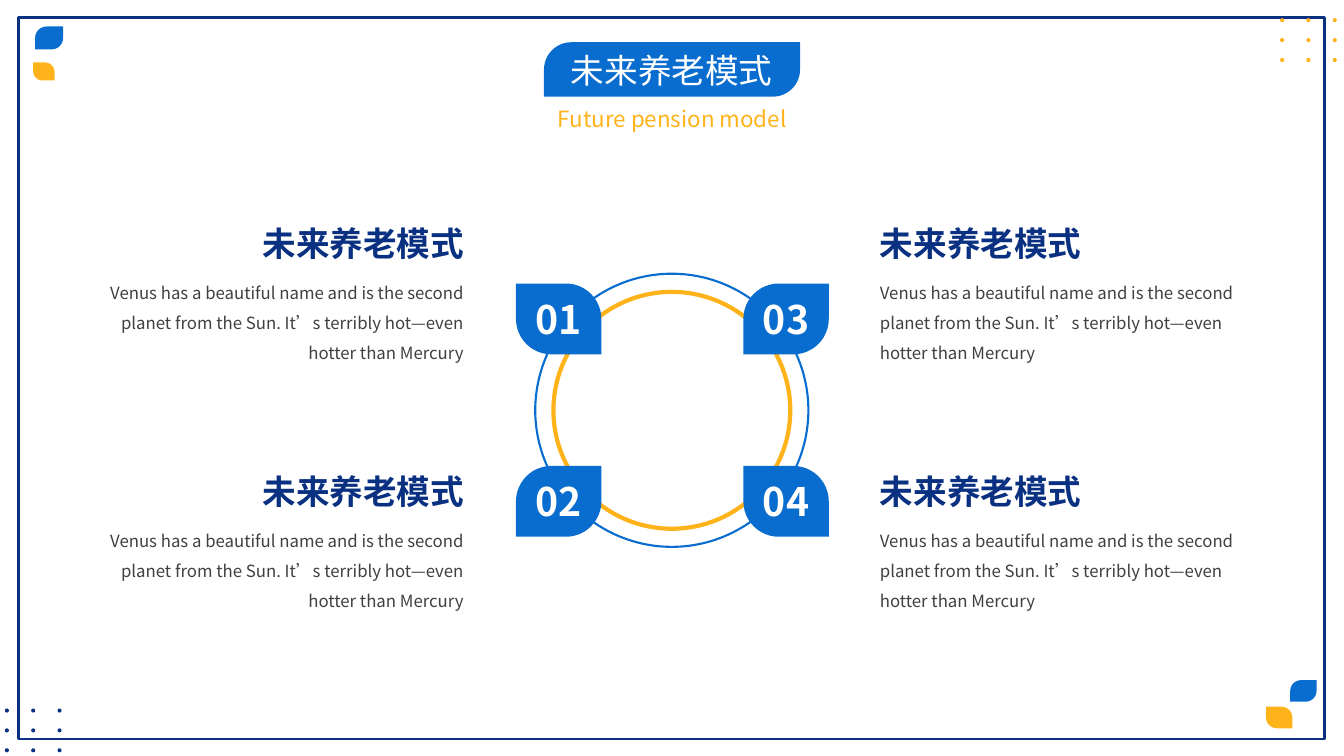
"""Build the slide on the future pension model."""
from lxml.etree import SubElement
from pptx import Presentation
from pptx.dml.color import RGBColor
from pptx.enum.shapes import MSO_SHAPE as Shape
from pptx.enum.text import MSO_ANCHOR as Anchor, MSO_AUTO_SIZE as AutoSize, PP_ALIGN as Align
from pptx.oxml.ns import qn
from pptx.util import Pt

FONT = "Noto Sans CJK SC"
NAVY, BLUE, AMBER, GRAY, WHITE = "0A3181", "086DCE", "FFB31A", "404040", "FFFFFF"
HEADING = "未来养老模式"
DESCRIPTION = ("Venus has a beautiful name and is the second planet from the Sun. "
               "It’s terribly hot—even hotter than Mercury")


def add_figure(kind, box, fill=None, line=None, line_width=0, corners=None):
    shape = slide.shapes.add_shape(kind, *map(Pt, box))
    shape.shadow.inherit = False
    if fill:
        shape.fill.solid()
        shape.fill.fore_color.rgb = RGBColor.from_string(fill)
    else:
        shape.fill.background()
    if line:
        shape.line.color.rgb = RGBColor.from_string(line)
        shape.line.width = Pt(line_width)
    else:
        shape.line.fill.background()
    if corners:
        shape.adjustments[0], shape.adjustments[1] = corners
    return shape


def write(shape, text, size, color, align, bold=False, spacing=None):
    shape.text_frame.word_wrap = True
    paragraph = shape.text_frame.paragraphs[0]
    paragraph.text = text
    paragraph.alignment = align
    if spacing:
        paragraph.line_spacing = spacing
    font = paragraph.font
    font.name, font.size, font.bold = FONT, Pt(size), bold
    font.color.rgb = RGBColor.from_string(color)
    SubElement(paragraph._p.pPr.find(qn("a:defRPr")), qn("a:ea"), typeface=FONT)


presentation = Presentation()
presentation.slide_width, presentation.slide_height = Pt(960), Pt(540)
slide = presentation.slides.add_slide(presentation.slide_layouts[5])
LEAF, MIRRORED = (0.5, 0), (0, 0.5)

add_figure(Shape.RECTANGLE, (13, 12.3, 933.2, 515.6), line=NAVY, line_width=2)

for left, top, color in [(3.5, 508.5, NAVY), (919.8, 13, AMBER)]:
    for row in range(3):
        for column in range(3):
            box = (left + 18.8 * column, top + 14.2 * row, 2.9, 2.9)
            if color == NAVY:
                box = (box[0], box[1] - 2.4, 2.9, 2.9)
            else:
                box = (box[0] - 5.4, box[1], 2.9, 2.9)
            add_figure(Shape.OVAL, box, color)

for box, color, corners in [
    ((25.1, 18.9, 20, 16.4), BLUE, LEAF),
    ((23.6, 44.6, 15.4, 12.9), AMBER, MIRRORED),
    ((921.6, 485.8, 18.8, 15.4), BLUE, LEAF),
    ((904.3, 504.8, 18.8, 15.4), AMBER, MIRRORED),
    ((388.6, 30.2, 182.9, 38.9), BLUE, LEAF),
]:
    add_figure(Shape.ROUND_2_DIAG_RECTANGLE, box, color, corners=corners)

title = slide.shapes.title
title.left, title.top, title.width, title.height = map(Pt, (293, 31.7, 373.7, 36))
title.text_frame.auto_size = AutoSize.NONE
title.text_frame.vertical_anchor = Anchor.MIDDLE
write(title, HEADING, 24, WHITE, Align.CENTER)
title.element.getparent().append(title.element)

subtitle = slide.shapes.add_textbox(*map(Pt, (283.7, 71.3, 393.1, 26.6)))
write(subtitle, "Future pension model", 16, AMBER, Align.CENTER)

add_figure(Shape.OVAL, (382.3, 195.5, 195.1, 195.1), line=BLUE, line_width=1.5)
add_figure(Shape.OVAL, (395.3, 208.5, 169.2, 169.2), line=AMBER, line_width=3)

columns = [(368.6, 138.3, 64.1, Align.RIGHT), (531, 621.4, 621.4, Align.LEFT)]
for column, (tab_left, heading_left, description_left, align) in enumerate(columns):
    for row in range(2):
        tab = add_figure(Shape.ROUND_2_DIAG_RECTANGLE, (tab_left, 202.5 + 130.3 * row, 61, 50.6),
                         BLUE, corners=MIRRORED if row == column else LEAF)
        frame = tab.text_frame
        frame.margin_left = frame.margin_right = frame.margin_top = frame.margin_bottom = 0
        frame.vertical_anchor = Anchor.MIDDLE
        write(tab, f"{2 * column + row + 1:02}", 28, WHITE, Align.CENTER, bold=True)

        top = 155.5 + 177.1 * row
        heading = slide.shapes.add_textbox(Pt(heading_left), Pt(top), Pt(200.2), Pt(36))
        write(heading, HEADING, 24, NAVY, align, bold=True)
        description = slide.shapes.add_textbox(
            Pt(description_left), Pt(top + 35.7), Pt(274.3), Pt(70.6))
        write(description, DESCRIPTION, 12, GRAY, align, spacing=1.5)

presentation.save("out.pptx")
